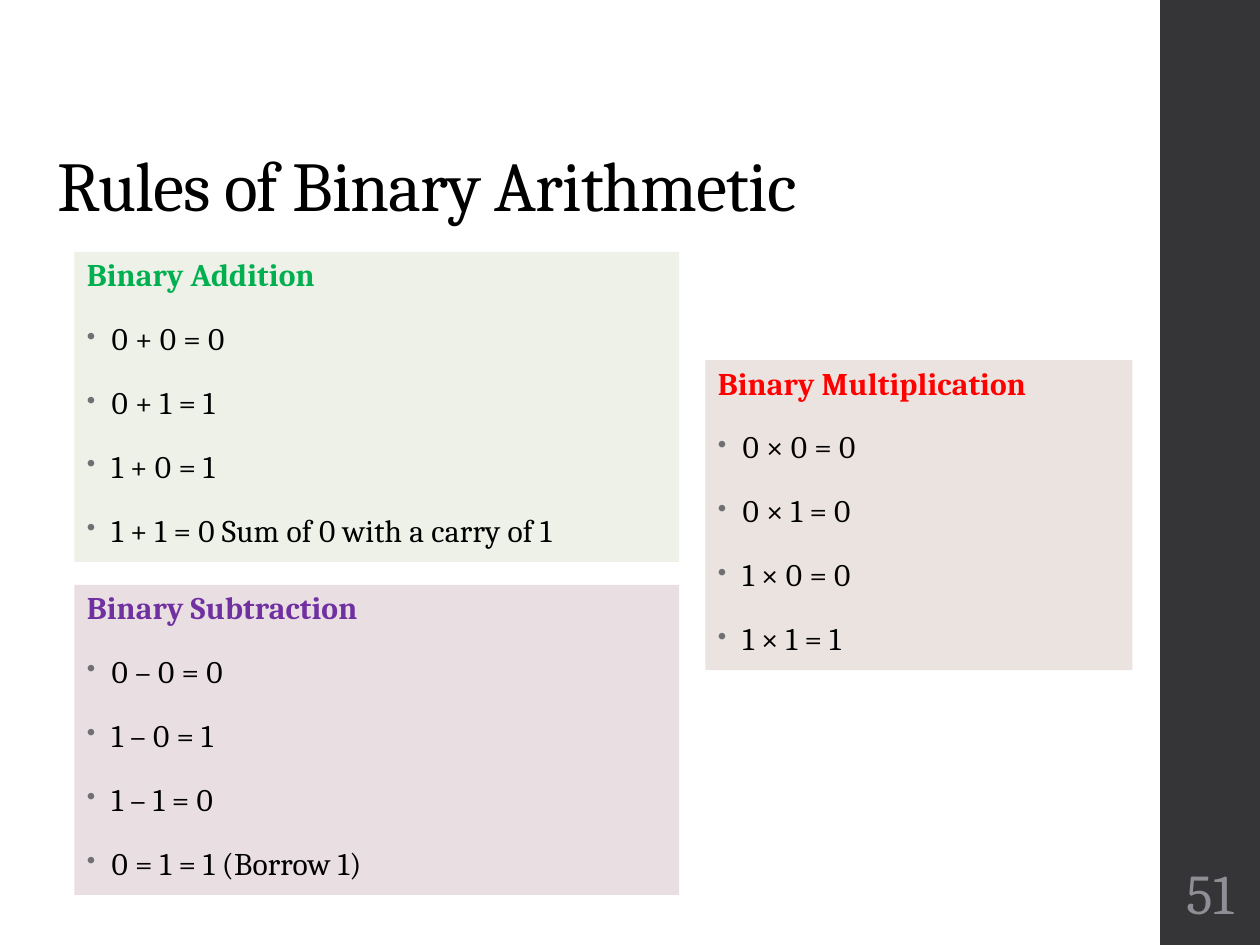
from lxml import etree
from pptx import Presentation
from pptx import util as u
from pptx.dml import color
from pptx.enum import shapes, text
from pptx.oxml import ns

COLOURS = {
    "sidebar": "353537", "ink": "000000", "bullet": "6F6F74", "number": "8E8E94",
    "addition": "00B050", "addition_fill": "EDF1E7",
    "subtraction": "7030A0", "subtraction_fill": "E9DFE3",
    "multiplication": "FF0000", "multiplication_fill": "EBE3E0",
}
RULES = [
    ("addition", "Binary Addition", (1.5, 5.08, 12.19),
     ["0 + 0 = 0", "0 + 1 = 1", "1 + 0 = 1", "1 + 1 = 0 Sum of 0 with a carry of 1"]),
    ("subtraction", "Binary Subtraction", (1.5, 11.79, 12.19),
     ["0 – 0 = 0", "1 – 0 = 1", "1 – 1 = 0", "0 = 1 = 1 (Borrow 1)"]),
    ("multiplication", "Binary Multiplication", (14.22, 7.26, 8.61),
     ["0 × 0 = 0", "0 × 1 = 0", "1 × 0 = 0", "1 × 1 = 1"]),
]
PANEL_HEIGHT = 6.25


def rgb(name):
    """Return the named colour."""
    return color.RGBColor.from_string(COLOURS[name])


def write(para, words, size, colour, bold=False, tracking=0):
    """Write words in a paragraph and set its font."""
    para.add_run().text = words
    font = para.font
    font.name, font.size, font.bold = "Cambria", u.Pt(size), bold
    font.color.rgb = rgb(colour)
    font._rPr.set("spc", str(tracking))


def add_bullet(para):
    """Give a paragraph a hanging grey bullet."""
    props = para._p.get_or_add_pPr()
    props.set("marL", str(u.Cm(0.5)))
    props.set("indent", str(-u.Cm(0.5)))
    tint = etree.SubElement(props, ns.qn("a:buClr"))
    etree.SubElement(tint, ns.qn("a:srgbClr"), val=COLOURS["bullet"])
    etree.SubElement(props, ns.qn("a:buSzPct"), val="80000")
    etree.SubElement(props, ns.qn("a:buChar"), char="•")


def add_block(page, left, top, width, height, fill):
    """Add a plain filled rectangle."""
    block = page.shapes.add_shape(
        shapes.MSO_SHAPE.RECTANGLE, u.Cm(left), u.Cm(top), u.Cm(width), u.Cm(height))
    block.shadow.inherit = False
    block.fill.solid()
    block.fill.fore_color.rgb = rgb(fill)
    block.line.fill.background()
    return block


def add_label(page, left, top, width, height, anchor):
    """Add a wrapping text box and return its frame."""
    box = page.shapes.add_textbox(u.Cm(left), u.Cm(top), u.Cm(width), u.Cm(height))
    frame = box.text_frame
    frame.word_wrap = True
    frame.vertical_anchor = anchor
    return frame


def add_rules(page, topic, heading, place, rules):
    """Add a panel with a coloured heading and bulleted rules."""
    panel = add_block(page, *place, PANEL_HEIGHT, f"{topic}_fill")
    frame = panel.text_frame
    frame.word_wrap = True
    frame.vertical_anchor = text.MSO_ANCHOR.TOP
    for index, words in enumerate([heading, *rules]):
        para = frame.add_paragraph() if index else frame.paragraphs[0]
        if index:
            add_bullet(para)
            para.space_before = u.Pt(14)
        para.alignment = text.PP_ALIGN.LEFT
        para.line_spacing = 0.95
        para.space_after = u.Pt(2)
        write(para, words, 18, "ink" if index else topic, bold=not index, tracking=10)


def add_title(page, words):
    """Add the slide title."""
    para = add_label(page, 0.91, 1.02, 21.92, 3.68, text.MSO_ANCHOR.BOTTOM).paragraphs[0]
    para.line_spacing = 0.9
    write(para, words, 40, "ink", tracking=-50)


def add_number(page, words):
    """Add the page number on the sidebar."""
    frame = add_label(page, 23.44, 17.15, 1.91, 1.65, text.MSO_ANCHOR.MIDDLE)
    frame.margin_left = frame.margin_right = u.Cm(0.08)
    para = frame.paragraphs[0]
    para.alignment = text.PP_ALIGN.CENTER
    write(para, words, 32, "number")


def main():
    """Build and save the deck."""
    deck = Presentation()
    deck.slide_width, deck.slide_height = u.Cm(25.4), u.Cm(19.05)
    page = deck.slides.add_slide(deck.slide_layouts[6])
    add_block(page, 23.39, 0, 2.01, 19.05, "sidebar")
    add_title(page, "Rules of Binary Arithmetic")
    for topic, heading, place, rules in RULES:
        add_rules(page, topic, heading, place, rules)
    add_number(page, "51")
    deck.save("out.pptx")


if __name__ == "__main__":
    main()
